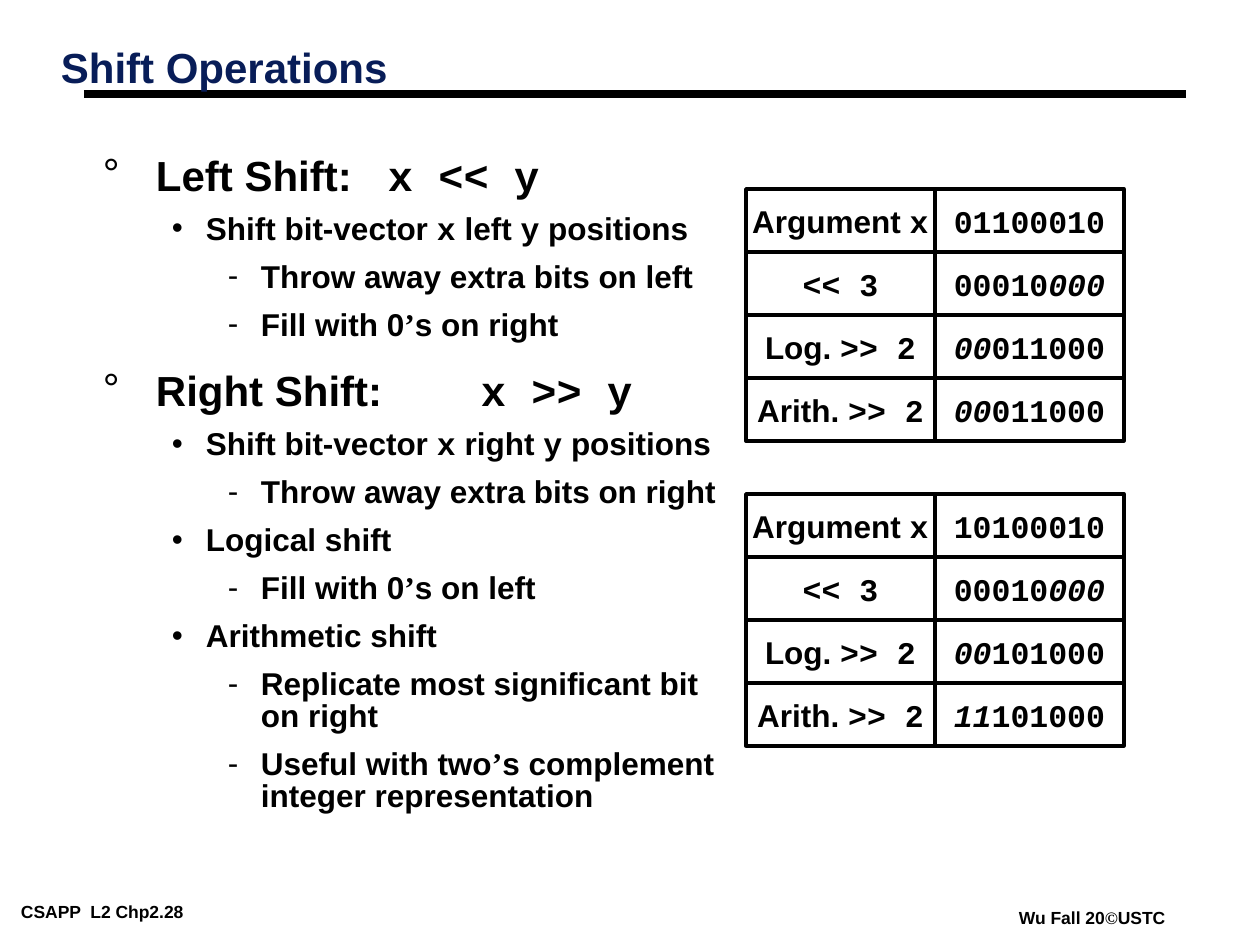
"""Build the Shift Operations slide with its outline and two bit-pattern grids."""
import pptx
import pptx.dml.color
import pptx.enum.shapes
import pptx.enum.text
import pptx.oxml
import pptx.oxml.ns
import pptx.util
from lxml import etree

BLACK = pptx.dml.color.RGBColor(0x00, 0x00, 0x00)
WHITE = pptx.dml.color.RGBColor(0xFF, 0xFF, 0xFF)
NAVY = pptx.dml.color.RGBColor(0x08, 0x1D, 0x58)
SANS, MONO, SERIF = "Arial", "Courier New", "Times New Roman"
PX = 914400 / 126
qn = pptx.oxml.ns.qn


def write(paragraph, text, font=SANS, size=18, color=BLACK, italic=False):
    run = paragraph.add_run()
    run.text = text
    run.font.name = font
    run.font.size = pptx.util.Pt(size)
    run.font.bold = True
    run.font.italic = italic
    run.font.color.rgb = color


def text_frame(slide, left, top, width, height, wrap=True):
    box = slide.shapes.add_textbox(*(round(n * PX) for n in (left, top, width, height)))
    frame = box.text_frame
    frame.word_wrap = wrap
    frame.margin_left = frame.margin_right = round(9 * PX)
    frame.margin_top = frame.margin_bottom = round(4 * PX)
    return frame


deck = pptx.Presentation()
deck.slide_width = round(1260 * PX)
deck.slide_height = round(945 * PX)
slide = deck.slides.add_slide(deck.slide_layouts[6])

course = text_frame(slide, 12, 897, 246, 28, wrap=False).paragraphs[0]
write(course, "CSAPP  L2 Chp2.28", size=10)
term = text_frame(slide, 1010, 903, 168, 28, wrap=False).paragraphs[0]
for text, font in [("Wu Fall 20", SANS), ("©", SERIF), ("USTC", SANS)]:
    write(term, text, font=font, size=10)

title_rule = slide.shapes.add_connector(
    pptx.enum.shapes.MSO_CONNECTOR.STRAIGHT,
    round(84 * PX), round(94 * PX), round(1186 * PX), round(94 * PX))
title_rule.line.color.rgb = BLACK
title_rule.line.width = pptx.util.Pt(4.5)
etree.SubElement(title_rule._element.spPr, qn("a:effectLst"))

title = text_frame(slide, 52, 44, 834, 79).paragraphs[0]
title.line_spacing = 0.87
write(title, "Shift Operations", size=24, color=NAVY)

LEVELS = [
    {"bullet": "°", "indent": 53, "hang": 53, "spacing": 0.75, "before": 19.5, "size": 24},
    {"bullet": "•", "indent": 103, "hang": 34, "spacing": 0.85, "before": 9, "size": 18},
    {"bullet": "-", "indent": 158, "hang": 33, "spacing": 0.85, "before": 9, "size": 18},
]
TAB_STOPS = [285, 378]
OUTLINE = [
    (0, [("Left Shift: \t", SANS), ("x << y", MONO)]),
    (1, [("Shift bit-vector ", SANS), ("x", MONO), (" left ", SANS), ("y", MONO), (" positions", SANS)]),
    (2, [("Throw away extra bits on left", SANS)]),
    (2, [("Fill with 0", SANS), ("’", SERIF), ("s on right", SANS)]),
    (0, [("Right Shift: \t", SANS), ("x >> y", MONO)]),
    (1, [("Shift bit-vector ", SANS), ("x", MONO), (" right ", SANS), ("y", MONO), (" positions", SANS)]),
    (2, [("Throw away extra bits on right", SANS)]),
    (1, [("Logical shift", SANS)]),
    (2, [("Fill with 0", SANS), ("’", SERIF), ("s on left", SANS)]),
    (1, [("Arithmetic shift", SANS)]),
    (2, [("Replicate most significant bit on right", SANS)]),
    (2, [("Useful with two", SANS), ("’", SERIF), ("s complement integer representation", SANS)]),
]
outline = text_frame(slide, 94, 157, 646, 712)
for index, (depth, runs) in enumerate(OUTLINE):
    level = LEVELS[depth]
    item = outline.add_paragraph() if index else outline.paragraphs[0]
    item.level = depth
    item.line_spacing = level["spacing"]
    item.space_before = pptx.util.Pt(level["before"])
    properties = item._p.get_or_add_pPr()
    properties.set("marL", str(round(level["indent"] * PX)))
    properties.set("indent", str(round(-level["hang"] * PX)))
    bullet_color = etree.SubElement(properties, qn("a:buClr"))
    etree.SubElement(bullet_color, qn("a:srgbClr"), val=str(BLACK))
    etree.SubElement(properties, qn("a:buFont"), typeface=SANS)
    etree.SubElement(properties, qn("a:buChar"), char=level["bullet"])
    tabs = etree.SubElement(properties, qn("a:tabLst"))
    for stop in TAB_STOPS:
        etree.SubElement(tabs, qn("a:tab"), pos=str(round(stop * PX)), algn="l")
    for text, font in runs:
        write(item, text, font=font, size=level["size"])

OPERATIONS = [
    [("Argument ", SANS, False), ("x", MONO, False)],
    [("<< 3", MONO, False)],
    [("Log. ", SANS, False), (">> 2", MONO, False)],
    [("Arith. ", SANS, False), (">> 2", MONO, False)],
]
LEFT_SHIFTED = [("00010", MONO, False), ("000", MONO, True)]
EXAMPLES = [
    (189, [[("01100010", MONO, False)], LEFT_SHIFTED,
           [("00", MONO, True), ("011000", MONO, False)],
           [("00", MONO, True), ("011000", MONO, False)]]),
    (494, [[("10100010", MONO, False)], LEFT_SHIFTED,
           [("00", MONO, True), ("101000", MONO, False)],
           [("11", MONO, True), ("101000", MONO, False)]]),
]
CELL_WIDTH, CELL_HEIGHT = 189, 63
for top, results in EXAMPLES:
    for row, operation_and_result in enumerate(zip(OPERATIONS, results)):
        for column, runs in enumerate(operation_and_result):
            cell = slide.shapes.add_shape(
                pptx.enum.shapes.MSO_SHAPE.RECTANGLE,
                round((746 + column * CELL_WIDTH) * PX), round((top + row * CELL_HEIGHT) * PX),
                round(CELL_WIDTH * PX), round(CELL_HEIGHT * PX))
            cell.shadow.inherit = False
            cell.fill.solid()
            cell.fill.fore_color.rgb = WHITE
            cell.line.color.rgb = BLACK
            cell.line.width = pptx.util.Pt(2)
            cell.text_frame.word_wrap = False
            cell.text_frame.vertical_anchor = pptx.enum.text.MSO_ANCHOR.MIDDLE
            entry = cell.text_frame.paragraphs[0]
            entry.alignment = pptx.enum.text.PP_ALIGN.CENTER
            for text, font, shifted_in in runs:
                write(entry, text, font=font, italic=shifted_in)

deck.save("out.pptx")
